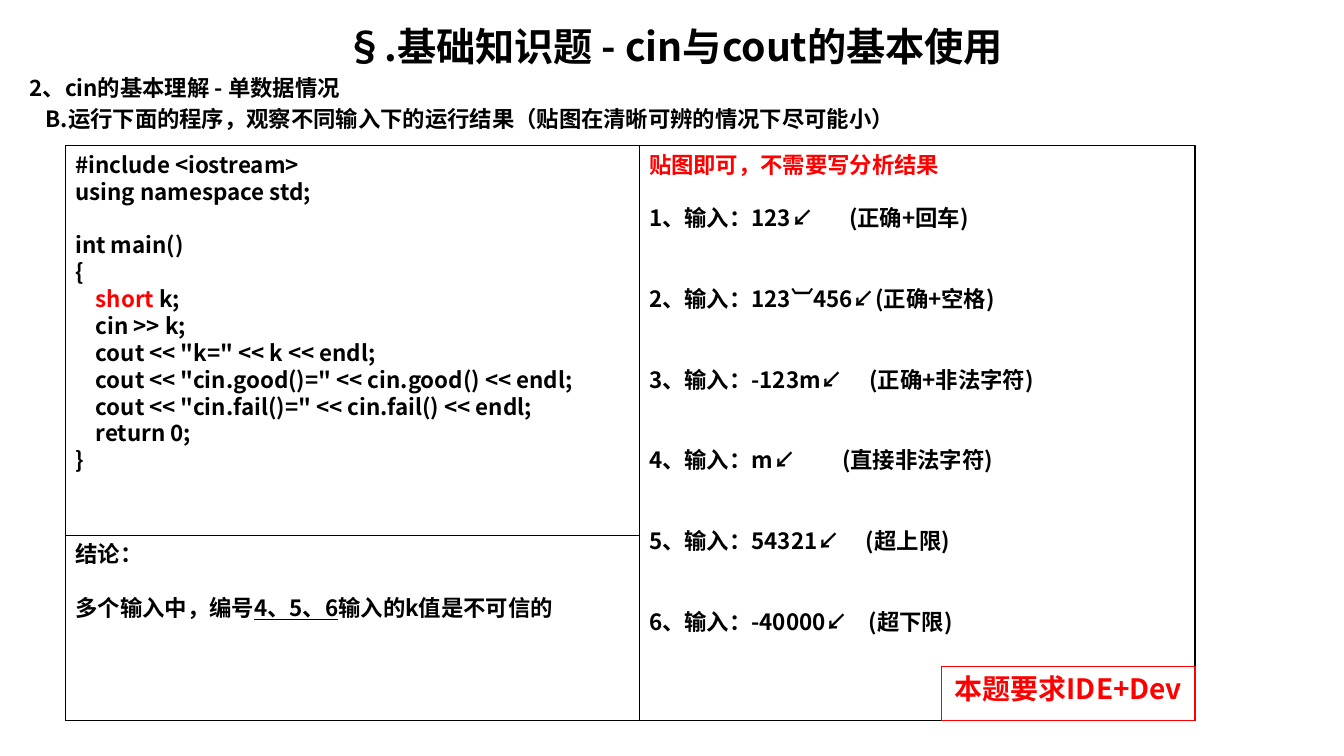
import pptx
import pptx.util
import pptx.dml.color
import pptx.enum.shapes
import pptx.enum.text
import pptx.oxml
import pptx.oxml.ns
from dataclasses import dataclass

Pt = pptx.util.Pt
Align = pptx.enum.text.PP_ALIGN


@dataclass(frozen=True)
class Theme:
    font: str = "Noto Sans CJK SC"
    black: str = "000000"
    red: str = "FF0000"
    title: float = 28
    body: float = 16
    badge: float = 20
    pitch: float = 1.2
    line: float = 0.75


THEME = Theme()
ROW = THEME.body * THEME.pitch
LEFT, MID, RIGHT = 46.8, 456.5, 853.6
TOP, SPLIT, FOOT = 104.2, 382.4, 514.8

CODE = """#include <iostream>
using namespace std;

int main()
{
    short k;
    cin >> k;
    cout << "k=" << k << endl;
    cout << "cin.good()=" << cin.good() << endl;
    cout << "cin.fail()=" << cin.fail() << endl;
    return 0;
}"""

CASES = [
    ("1、输入：123↙\t(正确+回车)", 143),
    ("2、输入：123︺456↙(正确+空格)", None),
    ("3、输入：-123m↙\t(正确+非法字符)", 157.5),
    ("4、输入：m↙\t(直接非法字符)", 138),
    ("5、输入：54321↙\t(超上限)", 155),
    ("6、输入：-40000↙\t(超下限)", 157),
]


def child(parent, tag, **attrs):
    node = pptx.oxml.parse_xml(f"<a:{tag} {pptx.oxml.ns.nsdecls('a')}/>")
    for key, value in attrs.items():
        node.set(key, str(value))
    parent.append(node)
    return node


def write(frame, text, size=THEME.body, color=THEME.black, align=Align.LEFT,
          before=0, indent=0, tab=None, under=False, join=False):
    para = frame.paragraphs[-1]
    if not join:
        if para.runs:
            para = frame.add_paragraph()
        props = para._p.get_or_add_pPr()
        if indent:
            props.set("marL", str(Pt(indent)))
            props.set("indent", "0")
        if tab:
            child(child(props, "tabLst"), "tab", pos=Pt(tab), algn="l")
        para.alignment = align
        para.line_spacing = Pt(size * THEME.pitch)
        para.space_before = Pt(before)
    run = para.add_run()
    run.text = text
    font = run.font
    font.name, font.size, font.bold = THEME.font, Pt(size), True
    font.underline = under
    font.color.rgb = pptx.dml.color.RGBColor.from_string(color)
    child(run._r.get_or_add_rPr(), "ea", typeface=THEME.font)


def panel(slide, left, top, right, foot, color=THEME.black, inset=7.2):
    shape = slide.shapes.add_shape(
        pptx.enum.shapes.MSO_SHAPE.RECTANGLE,
        Pt(left), Pt(top), Pt(right - left), Pt(foot - top))
    shape.shadow.inherit = False
    shape.fill.background()
    shape.line.color.rgb = pptx.dml.color.RGBColor.from_string(color)
    shape.line.width = Pt(THEME.line)
    frame = shape.text_frame
    frame.word_wrap = True
    frame.margin_left = frame.margin_right = Pt(inset)
    frame.vertical_anchor = pptx.enum.text.MSO_ANCHOR.TOP
    return frame


def heads(slide):
    frame = slide.shapes.add_textbox(Pt(14), Pt(12.6), Pt(935.3), Pt(510.5)).text_frame
    frame.word_wrap = True
    gap = THEME.body * 0.2
    write(frame, "§.基础知识题 - cin与cout的基本使用", size=THEME.title,
          align=Align.CENTER)
    write(frame, "2、cin的基本理解 - 单数据情况", before=gap)
    write(frame, "B.运行下面的程序，观察不同输入下的运行结果（贴图在清晰可辨的情况下尽可能小）",
          before=gap, indent=11.5)


def code(frame):
    gap = 0
    for text in CODE.split("\n"):
        if not text:
            gap = ROW
            continue
        pad, word, rest = text.partition("short ")
        write(frame, pad, before=gap)
        if word:
            write(frame, word, color=THEME.red, join=True)
            write(frame, rest, join=True)
        gap = 0


def cases(frame):
    write(frame, "贴图即可，不需要写分析结果", color=THEME.red)
    for i, (text, tab) in enumerate(CASES):
        write(frame, text, before=2 * ROW if i else ROW, tab=tab)


def result(frame):
    write(frame, "结论：")
    write(frame, "多个输入中，编号", before=ROW)
    write(frame, "4、5、6", under=True, join=True)
    write(frame, "输入的k值是不可信的", join=True)


def main():
    deck = pptx.Presentation()
    deck.slide_width, deck.slide_height = Pt(960), Pt(540)
    slide = deck.slides.add_slide(deck.slide_layouts[6])
    panel(slide, LEFT, TOP, RIGHT, FOOT)
    heads(slide)
    code(panel(slide, LEFT, TOP, MID, FOOT))
    cases(panel(slide, MID, TOP, RIGHT, FOOT))
    badge = panel(slide, 672.6, 476, RIGHT, FOOT, color=THEME.red, inset=1)
    write(badge, "本题要求IDE+Dev", size=THEME.badge, color=THEME.red, align=Align.CENTER)
    result(panel(slide, LEFT, SPLIT, MID, FOOT))
    deck.save("out.pptx")


if __name__ == "__main__":
    main()
